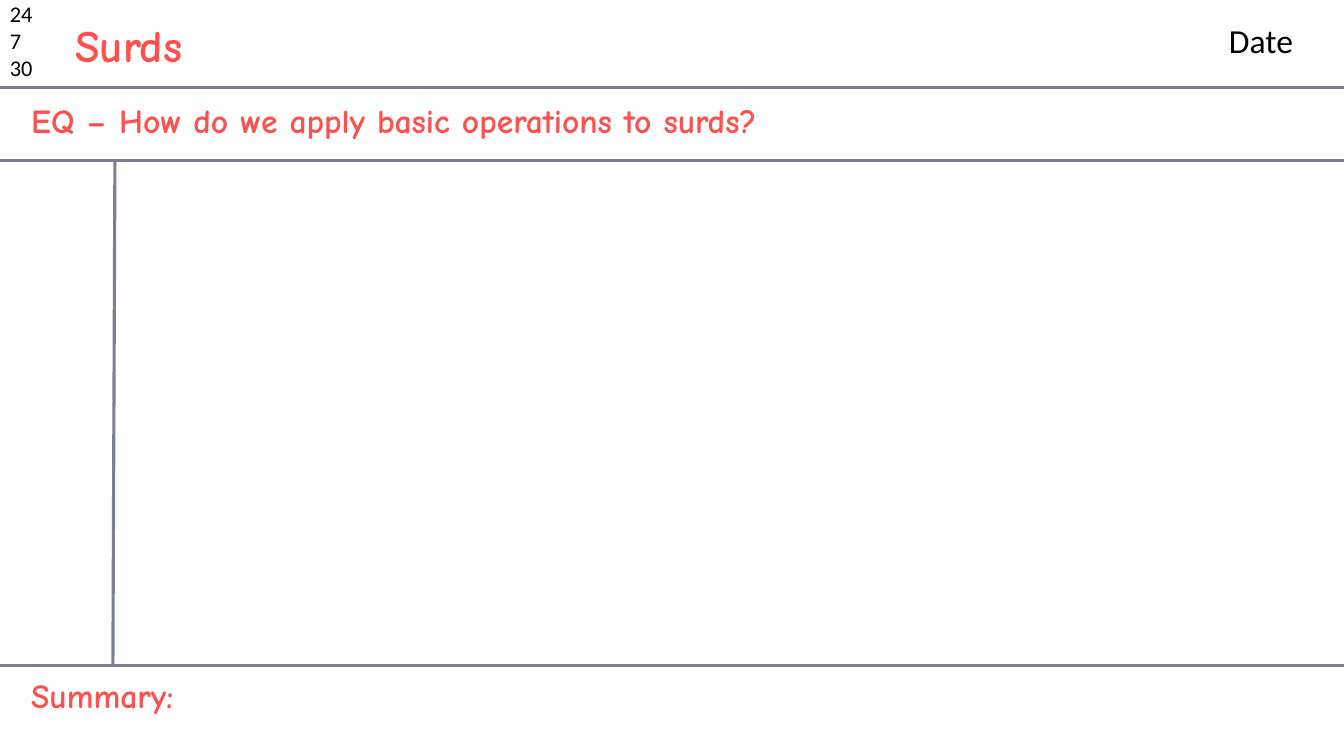
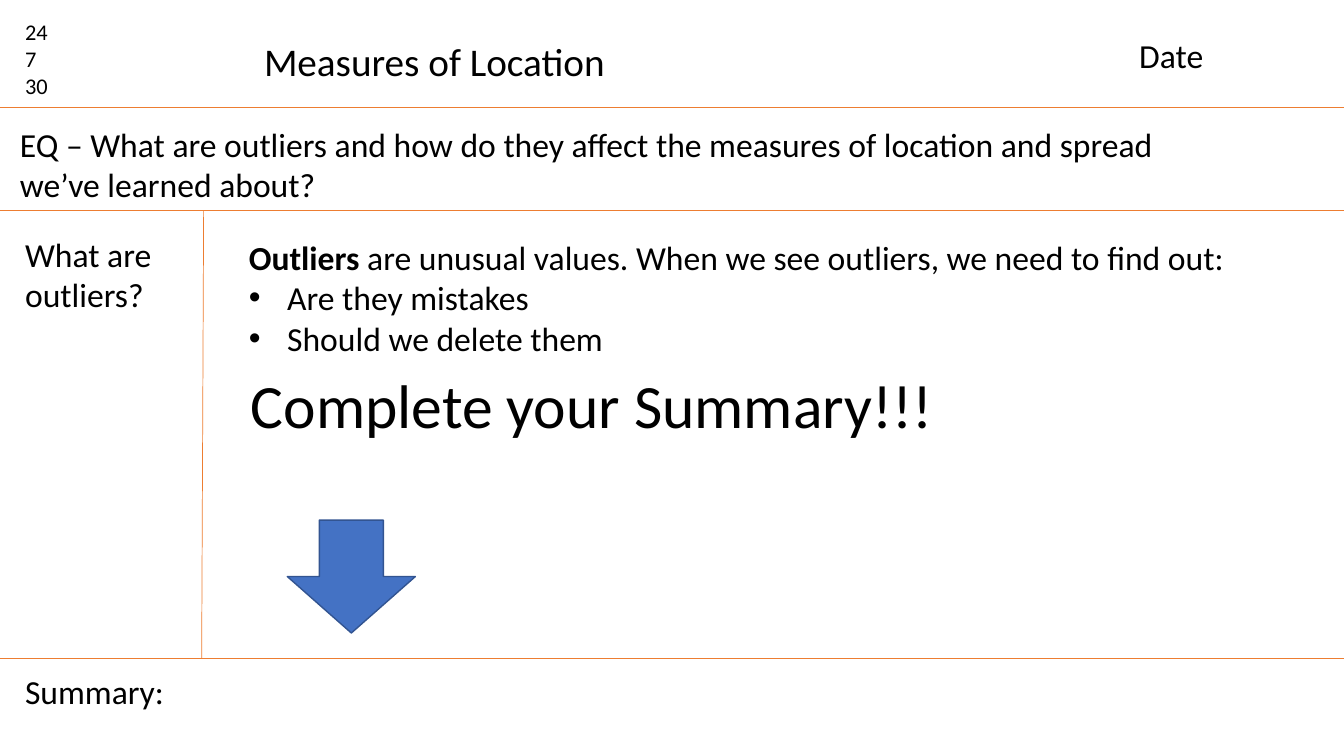
import pptx
import pptx.util
import pptx.dml.color
import pptx.enum.shapes
import pptx.enum.text
import pptx.oxml.ns
import lxml.etree

Inches, Pt = pptx.util.Inches, pptx.util.Pt
RGB = pptx.dml.color.RGBColor
BLACK, CORAL, SLATE = RGB(0, 0, 0), RGB(0xFF, 0x50, 0x50), RGB(0x7C, 0x7F, 0x91)
ORANGE, BLUE, NAVY = RGB(0xED, 0x7D, 0x31), RGB(0x44, 0x72, 0xC4), RGB(0x32, 0x54, 0x91)
WIDE, HIGH = 13.33, 7.5

# Text styles: font, colour, bold
PLAIN = ("Calibri", BLACK, False)
COMIC = ("Comic Neue", CORAL, True)

# Content: rules are the heights of the lines; each text is
# (place, size, style, paragraphs, wrap)
COUNT = ["24", "7", "30"]
PAGES = [
    {
        "rules": (0.87, 1.59, 6.6), "margin": (1.14, 1.12), "line": (SLATE, 2.25),
        "texts": [
            ((0, -0.05, 0.63, 0.91), 16, PLAIN, COUNT, True),
            ((0.65, 0.13, 1.32, 0.64), 32, COMIC, ["Surds"], False),
            ((12.09, 0.15, 1.01, 0.5), 24, PLAIN, ["Date"], True),
            ((0.21, 0.94, 12.89, 0.5), 24, COMIC,
             ["EQ – How do we apply basic operations to surds?"], True),
            ((0.21, 6.65, 12.89, 0.5), 24, COMIC, ["Summary:"], True),
        ],
    },
    {
        "rules": (1.07, 2.09, 6.53), "margin": (2.02, 2), "line": (ORANGE, 0.5),
        "texts": [
            ((0.15, 0.13, 0.63, 0.91), 16, PLAIN, COUNT, True),
            ((2.52, 0.32, 3.62, 0.57), 28, PLAIN, ["Measures of Location"], False),
            ((11.2, 0.3, 1.73, 0.5), 24, PLAIN, ["Date"], True),
            ((0.15, 2.27, 1.91, 0.91), 24, PLAIN, ["What are outliers?"], True),
            ((0.1, 1.18, 11.6, 0.91), 24, PLAIN,
             ["EQ – What are outliers and how do they affect the measures of "
              "location and spread we’ve learned about?"], True),
            ((0.15, 6.61, 1.67, 0.5), 24, PLAIN, ["Summary:"], False),
            ((2.39, 3.59, 7.04, 0.84), 44, PLAIN, ["Complete your Summary!!!"], False),
        ],
        "arrow": (2.85, 5.16, 1.27, 1.12),
        "notes": (2.37, 2.3, 10.44, 1.31),
    },
]
TERM = "Outliers"
LEAD = " are unusual values. When we see outliers, we need to find out:"
POINTS = ["Are they mistakes", "Should we delete them"]


def place(box):
    return [Inches(n) for n in box]


def style(run, size, look, bold=None):
    font = run.font
    font.name, font.color.rgb, font.bold = look
    font.size = Pt(size)
    if bold is not None:
        font.bold = bold


def add_text(slide, box, size, look, lines, wrap=True):
    frame = slide.shapes.add_textbox(*place(box)).text_frame
    frame.word_wrap = wrap
    frame.auto_size = pptx.enum.text.MSO_AUTO_SIZE.SHAPE_TO_FIT_TEXT
    frame.text = "\n".join(lines)
    for para in frame.paragraphs:
        for run in para.runs:
            style(run, size, look)
    return frame


def add_line(slide, start, end, color, width):
    line = slide.shapes.add_connector(
        pptx.enum.shapes.MSO_CONNECTOR.STRAIGHT, *place(start + end))
    line.line.color.rgb = color
    line.line.width = Pt(width)
    props = line._element.spPr
    lxml.etree.SubElement(props, pptx.oxml.ns.qn("a:effectLst"))


def add_bullet(para):
    props = para._p.get_or_add_pPr()
    props.set("marL", str(Inches(0.38)))
    props.set("indent", str(Inches(-0.38)))
    font = lxml.etree.SubElement(props, pptx.oxml.ns.qn("a:buFont"))
    font.set("typeface", "Arial")
    mark = lxml.etree.SubElement(props, pptx.oxml.ns.qn("a:buChar"))
    mark.set("char", "•")


def add_notes(slide, box):
    frame = add_text(slide, box, 24, PLAIN, [TERM] + POINTS)
    first, *rest = frame.paragraphs
    first.runs[0].font.bold = True
    lead = first.add_run()
    lead.text = LEAD
    style(lead, 24, PLAIN)
    for para in rest:
        add_bullet(para)


def add_arrow(slide, box):
    arrow = slide.shapes.add_shape(
        pptx.enum.shapes.MSO_SHAPE.DOWN_ARROW, *place(box))
    arrow.shadow.inherit = False
    arrow.fill.solid()
    arrow.fill.fore_color.rgb = BLUE
    arrow.line.color.rgb = NAVY
    arrow.line.width = Pt(1)


def add_page(deck, page):
    slide = deck.slides.add_slide(deck.slide_layouts[6])
    # Ruled frame: three rules and a slightly slanted margin
    for y in page["rules"]:
        add_line(slide, (0, y), (WIDE, y), *page["line"])
    top, foot = page["margin"]
    add_line(slide, (top, page["rules"][1]), (foot, page["rules"][2]), *page["line"])
    # Text and extras
    for item in page["texts"]:
        add_text(slide, *item)
    if "arrow" in page:
        add_arrow(slide, page["arrow"])
    if "notes" in page:
        add_notes(slide, page["notes"])


def main():
    deck = pptx.Presentation()
    deck.slide_width, deck.slide_height = Inches(WIDE), Inches(HIGH)
    for page in PAGES:
        add_page(deck, page)
    deck.save("out.pptx")


if __name__ == "__main__":
    main()
